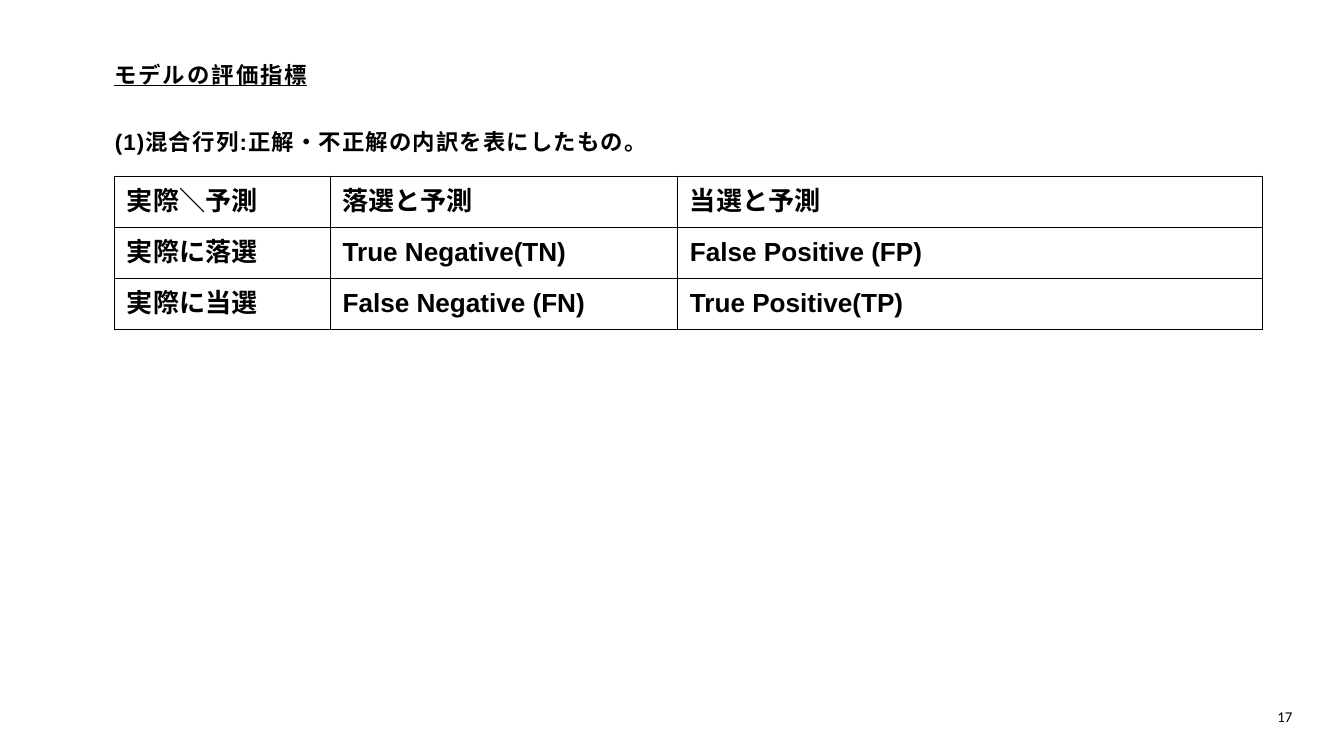
import pptx
import pptx.dml.color
import pptx.enum.text
import pptx.oxml.ns
import pptx.util
import lxml.etree

Cm, Pt = pptx.util.Cm, pptx.util.Pt
qn = pptx.oxml.ns.qn
MID = pptx.enum.text.MSO_ANCHOR.MIDDLE
GROW = pptx.enum.text.MSO_AUTO_SIZE.SHAPE_TO_FIT_TEXT
RIGHT = pptx.enum.text.PP_ALIGN.RIGHT

HEAD = {"name": "Arial", "size": Pt(24), "bold": True, "underline": True}
LEAD = {"name": "Arial", "size": Pt(24), "bold": True}
CELL = {"name": "Arial", "size": Pt(28), "bold": True}
PAGE = {"name": "Calibri", "size": Pt(16)}

ROWS = [
    ["実際＼予測", "落選と予測", "当選と予測"],
    ["実際に落選", "True Negative(TN)", "False Positive (FP)"],
    ["実際に当選", "False Negative (FN)", "True Positive(TP)"],
]


def paint(text):
    return pptx.dml.color.RGBColor.from_string(text)


def apply(item, form):
    for key, value in form.items():
        setattr(item, key, value)


def write(para, text, form, gap=0):
    """Add one run; gap is the letter spacing in points."""
    run = para.add_run()
    run.text = text
    apply(run.font, form)
    run.font.color.rgb = paint("000000")
    props = run.font._element
    lxml.etree.SubElement(props, qn("a:ea")).set("typeface", form["name"])
    if gap:
        props.set("spc", str(round(gap * 100)))


def label(slide, box, text, form, frame, para, gap=0):
    """Add a text box with one line and return its paragraph."""
    shape = slide.shapes.add_textbox(*map(Cm, box))
    apply(shape.text_frame, {"word_wrap": True, **frame})
    line = shape.text_frame.paragraphs[0]
    apply(line, para)
    write(line, text, form, gap)
    return line


def border(cell):
    """Draw a thin black line on all four sides."""
    props = cell._tc.get_or_add_tcPr()
    for place, side in enumerate(("a:lnL", "a:lnR", "a:lnT", "a:lnB")):
        line = lxml.etree.Element(qn(side), w=str(Pt(1)))
        fill = lxml.etree.SubElement(line, qn("a:solidFill"))
        lxml.etree.SubElement(fill, qn("a:srgbClr")).set("val", "000000")
        props.insert(place, line)


def matrix(slide, box, widths):
    """Confusion matrix: actual by predicted."""
    grid = slide.shapes.add_table(len(ROWS), len(widths), *map(Cm, box)).table
    apply(grid, {"first_row": False, "horz_banding": False})
    for col, width in zip(grid.columns, widths):
        col.width = Cm(width)
    pads = {"margin_left": Cm(0.48), "margin_right": Cm(0.48),
            "margin_top": Cm(0.23), "margin_bottom": Cm(0.23)}
    for row, texts in zip(grid.rows, ROWS):
        row.height = Cm(box[3] / len(ROWS))
        for cell, text in zip(row.cells, texts):
            apply(cell, {"vertical_anchor": MID, **pads})
            cell.fill.background()
            border(cell)
            write(cell.text_frame.paragraphs[0], text, CELL)


def main():
    deck = pptx.Presentation()
    apply(deck, {"slide_width": Cm(50.8), "slide_height": Cm(28.58)})
    slide = deck.slides.add_slide(deck.slide_layouts[6])

    # Heading
    flush = dict.fromkeys(
        ("margin_left", "margin_right", "margin_top", "margin_bottom"), 0)
    label(slide, (4.32, 1.96, 29.46, 1.22), "モデルの評価指標", HEAD,
          {"auto_size": GROW, **flush}, {"line_spacing": Pt(38.4)}, 2.1)

    # Table
    matrix(slide, (4.32, 6.65, 43.4, 5.79), (8.15, 13.13, 22.12))

    # Page number
    label(slide, (43.18, 26.57, 5.92, 1.02), "17", PAGE,
          {"vertical_anchor": MID}, {"alignment": RIGHT})

    # Lead line above the table
    line = label(slide, (3.38, 3.18, 25.4, 2.33),
                 "(1)混合行列:正解・不正解の内訳を表にしたもの。", LEAD,
                 {"auto_size": GROW}, {"level": 1, "line_spacing": 2.5}, 1.2)
    props = line._p.get_or_add_pPr()
    props.set("marL", str(Cm(0.71)))
    props.set("indent", "0")

    deck.save("out.pptx")


if __name__ == "__main__":
    main()
